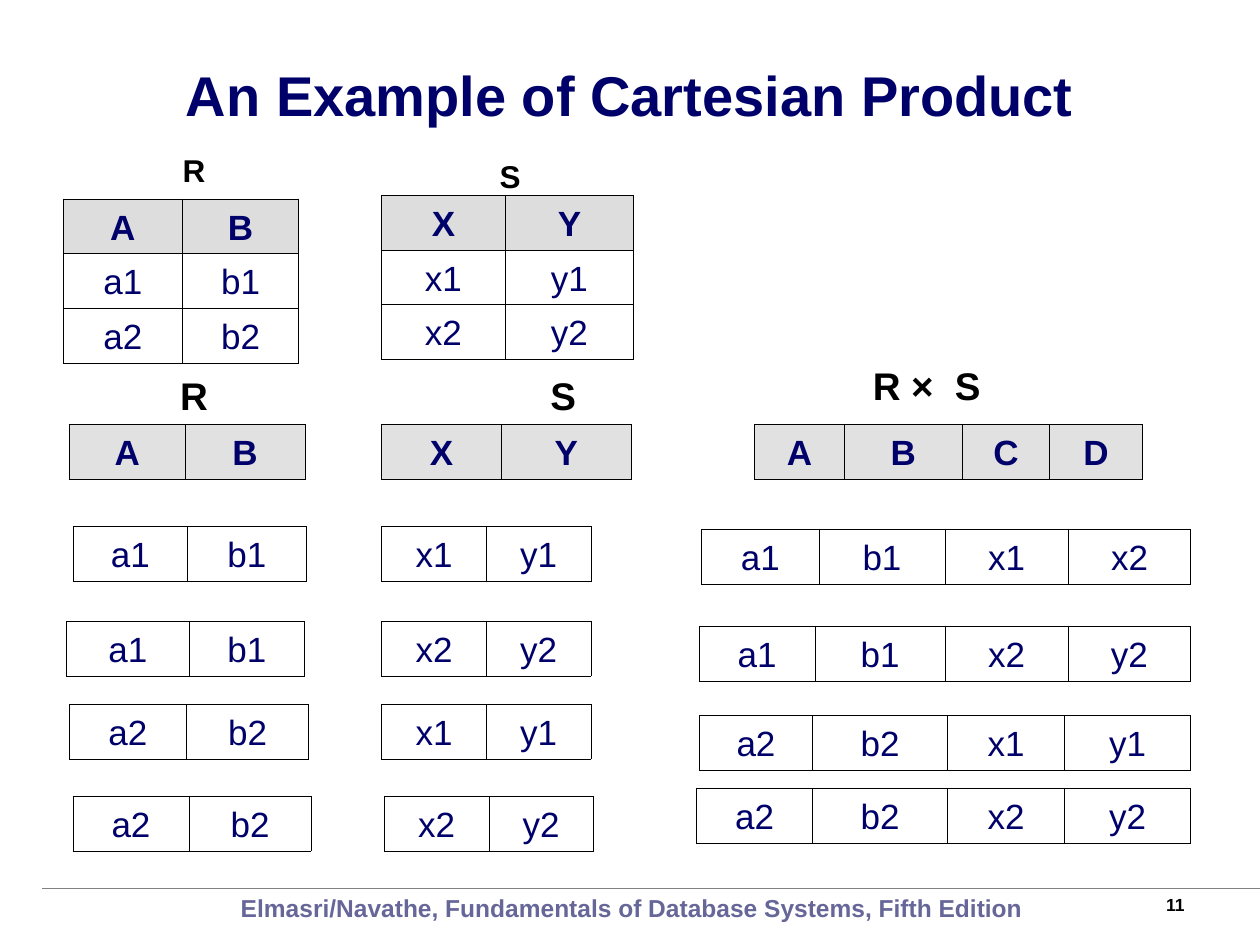
from lxml import etree
from pptx import Presentation
from pptx.dml.color import RGBColor
from pptx.enum.shapes import MSO_CONNECTOR
from pptx.enum.text import MSO_ANCHOR as Anchor, PP_ALIGN as Align
from pptx.oxml import parse_xml
from pptx.oxml.ns import nsdecls, qn
from pptx.util import Inches, Pt

NAVY = RGBColor(0x00, 0x00, 0x6A)
BLACK = RGBColor(0x00, 0x00, 0x00)
SLATE = RGBColor(0x66, 0x66, 0x99)
GRAY = RGBColor(0x80, 0x80, 0x80)
LIGHT_GRAY = RGBColor(0xDD, 0xDD, 0xDD)
PALE_GRAY = RGBColor(0xE1, 0xE1, 0xE1)
FONT = "Arial"
ROW_HEIGHT = 0.435


def format_paragraph(paragraph, text, size=20, color=NAVY, bold=False,
                     align=Align.CENTER, line_spacing=None):
    """Write one formatted run into a paragraph."""
    paragraph.alignment = align
    if line_spacing:
        paragraph.line_spacing = line_spacing
    run = paragraph.add_run()
    run.text = text
    run.font.name = FONT
    run.font.size = Pt(size)
    run.font.bold = bold
    run.font.color.rgb = color


def add_text(slide, text, left, top, width, height, anchor=Anchor.TOP,
             margins=(0.1, 0.05), **text_format):
    """Add a text box with a single paragraph."""
    box = slide.shapes.add_textbox(Inches(left), Inches(top), Inches(width), Inches(height))
    frame = box.text_frame
    frame.word_wrap = True
    frame.vertical_anchor = anchor
    frame.margin_left = frame.margin_right = Inches(margins[0])
    frame.margin_top = frame.margin_bottom = Inches(margins[1])
    format_paragraph(frame.paragraphs[0], text, **text_format)


def add_borders(cell):
    """Draw a thin black line on each side of a cell."""
    properties = cell._tc.get_or_add_tcPr()
    for position, side in enumerate(("lnL", "lnR", "lnT", "lnB")):
        properties.insert(position, parse_xml(
            f'<a:{side} {nsdecls("a")} w="{Pt(0.45)}"><a:solidFill>'
            f'<a:srgbClr val="{BLACK}"/></a:solidFill></a:{side}>'))


def add_grid(slide, left, top, column_widths, rows, header_fill=None,
             row_height=ROW_HEIGHT):
    """Add a bordered table whose first row is a header when it has a fill."""
    table = slide.shapes.add_table(
        len(rows), len(column_widths), Inches(left), Inches(top),
        Inches(sum(column_widths)), Inches(row_height * len(rows))).table
    table.first_row = table.horz_banding = False
    for column, width in zip(table.columns, column_widths):
        column.width = Inches(width)
    for row_index, values in enumerate(rows):
        table.rows[row_index].height = Inches(row_height)
        is_header = row_index == 0 and header_fill is not None
        for column_index, value in enumerate(values.split()):
            cell = table.cell(row_index, column_index)
            cell.vertical_anchor = Anchor.BOTTOM
            cell.margin_left = cell.margin_right = Inches(0.05)
            cell.margin_top = cell.margin_bottom = Inches(0.05)
            add_borders(cell)
            if is_header:
                cell.fill.solid()
                cell.fill.fore_color.rgb = header_fill
            else:
                cell.fill.background()
            format_paragraph(cell.text_frame.paragraphs[0], value, bold=is_header)


def draw_relation(slide, left, top, column_widths, rows, name, name_box):
    """Draw a whole relation with its name above it."""
    shift, rise, width = name_box
    add_text(slide, name, left + shift, top - rise, width, 0.3, margins=(0, 0),
             size=18, color=BLACK, bold=True)
    add_grid(slide, left, top, column_widths, rows, LIGHT_GRAY)


def draw_tuples(slide, left, top, tuples, row_height=ROW_HEIGHT):
    """Draw a header and its separate tuples, each offset from the corner."""
    for index, (shift, drop, column_widths, values) in enumerate(tuples):
        is_header = index == 0
        add_grid(slide, left + shift, top + drop, column_widths, [values],
                 PALE_GRAY if is_header else None,
                 ROW_HEIGHT if is_header else row_height)


def draw_footer(slide, left, top, width):
    """Draw the rule, the book credit and the page number."""
    rule = slide.shapes.add_connector(
        MSO_CONNECTOR.STRAIGHT, Inches(left + width), Inches(top), Inches(left), Inches(top))
    rule.line.color.rgb = GRAY
    rule.line.width = Pt(0.75)
    etree.SubElement(rule._element.spPr, qn("a:effectLst"))
    add_text(slide, "Elmasri/Navathe, Fundamentals of Database Systems, Fifth Edition",
             left + 0.54, top - 0.18, 8.29, 0.5, anchor=Anchor.BOTTOM,
             size=14, color=SLATE, bold=True)
    add_text(slide, "11", left + 6.84, top, 2.33, 0.3, size=10, color=BLACK,
             bold=True, align=Align.RIGHT)


def draw_product(slide, left, top):
    """Draw the pairing of R and S tuples beside the product they form."""
    heading = dict(size=22, color=BLACK, bold=True)
    for name, shift in (("R", 0.33), ("S", 3.26)):
        add_text(slide, name, left + shift, top - 0.42, 1.42, 0.37, margins=(0, 0), **heading)
    add_text(slide, "R ×  S", left + 6.2, top - 0.49, 1.31, 0.41, margins=(0, 0.05),
             line_spacing=0.85, **heading)
    drops = (0, 0.81, 1.56, 2.22, 2.95)
    r_tuples = ((0.05, (0.92, 0.95), "A B"), (0.08, (0.91, 0.94), "a1 b1"),
                (0.03, (0.97, 0.92), "a1 b1"), (0.05, (0.93, 0.97), "a2 b2"),
                (0.08, (0.92, 0.97), "a2 b2"))
    pair = (0.83, 0.83)
    s_tuples = ((0, (0.95, 1.03), "X Y"), (0, pair, "x1 y1"), (0, pair, "x2 y2"),
                (0, pair, "x1 y1"), (0.02, pair, "x2 y2"))
    for shift, tuples in ((0, r_tuples), (2.53, s_tuples)):
        draw_tuples(slide, left + shift, top,
                    [(offset, drop, widths, values)
                     for drop, (offset, widths, values) in zip(drops, tuples)])
    draw_tuples(slide, left + 5.03, top, (
        (0.46, 0, (0.71, 0.94, 0.69, 0.74), "A B C D"),
        (0.04, 0.83, (0.93, 1, 0.98, 0.97), "a1 b1 x1 x2"),
        (0.02, 1.6, (0.92, 1.03, 0.98, 0.97), "a1 b1 x2 y2"),
        (0.02, 2.31, (0.9, 1.07, 0.93, 1), "a2 b2 x1 y1"),
        (0, 2.89, (0.92, 1.07, 0.93, 1), "a2 b2 x2 y2")), row_height=0.4)


def main():
    """Build and save the slide."""
    presentation = Presentation()
    presentation.slide_width = Inches(10)
    presentation.slide_height = Inches(7.5)
    slide = presentation.slides.add_slide(presentation.slide_layouts[6])
    draw_footer(slide, 0.33, 7.05, 9.69)
    add_text(slide, "An Example of Cartesian Product", 0.5, 0.3, 9, 0.9,
             anchor=Anchor.MIDDLE, size=32, bold=True)
    draw_relation(slide, 0.5, 1.58, (0.95, 0.92), ("A B", "a1 b1", "a2 b2"),
                  "R", (0.33, 0.38, 1.42))
    draw_relation(slide, 3.03, 1.55, (0.98, 1.02), ("X Y", "x1 y1", "x2 y2"),
                  "S", (0.02, 0.3, 2))
    draw_product(slide, 0.5, 3.37)
    presentation.save("out.pptx")


if __name__ == "__main__":
    main()
